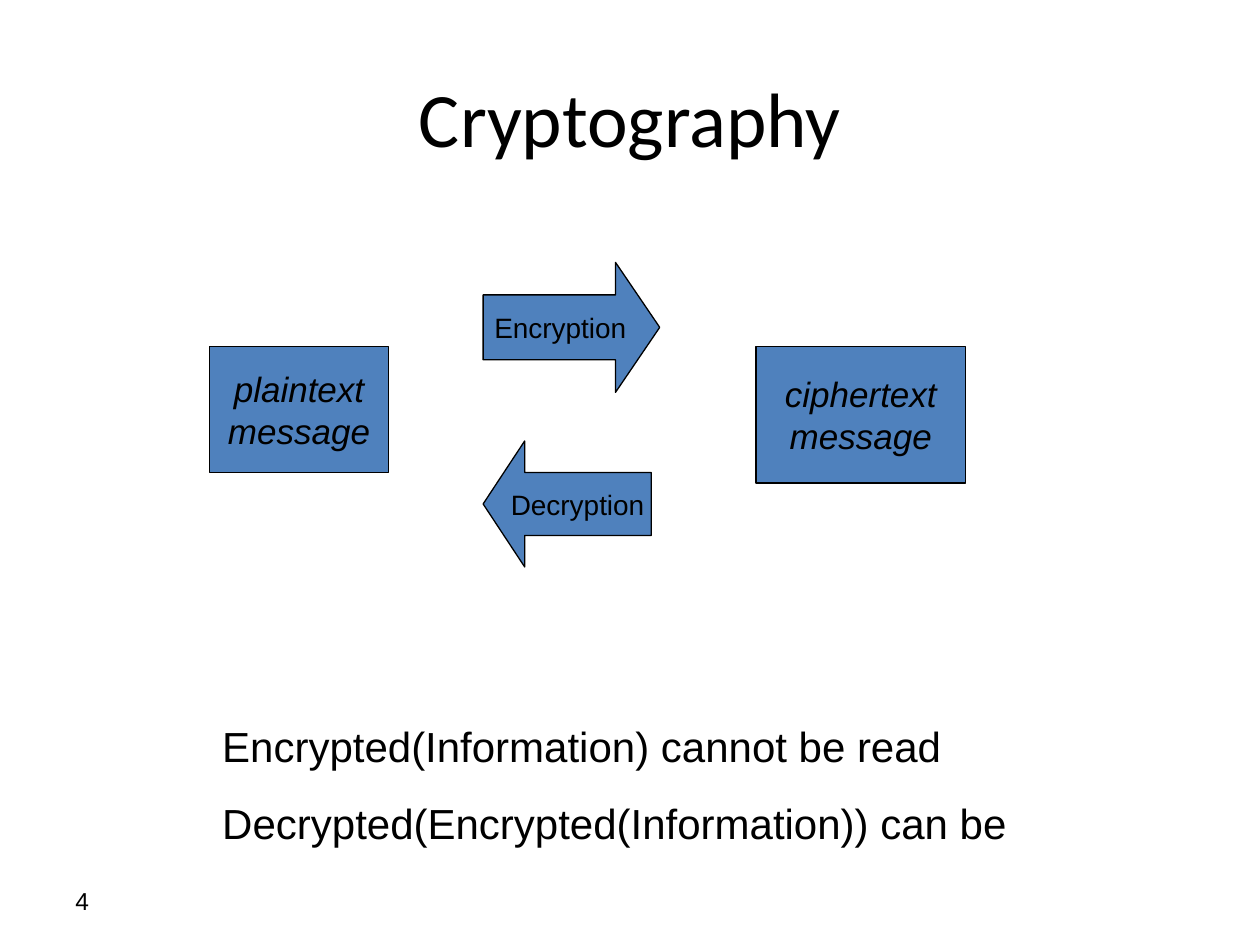
from pptx import Presentation
from pptx.dml.color import RGBColor
from pptx.enum.shapes import MSO_SHAPE as SHAPE
from pptx.enum.text import MSO_ANCHOR as ANCHOR, MSO_AUTO_SIZE as AUTO_SIZE, PP_ALIGN as ALIGN
from pptx.util import Cm, Pt

BLACK = "000000"
BLUE = "4F81BD"


def rgb(value):
    return RGBColor.from_string(value)


def write(tf, lines, size, font="Arial", align=ALIGN.LEFT, italic=False, gap=0):
    """Fill a text frame with one paragraph per line, gap points apart."""
    for i, line in enumerate(lines):
        p = tf.paragraphs[0] if i == 0 else tf.add_paragraph()
        p.alignment = align
        p.space_before = Pt(gap if i else 0)
        r = p.add_run()
        r.text = line
        r.font.name = font
        r.font.size = Pt(size)
        r.font.italic = italic
        r.font.color.rgb = rgb(BLACK)


def set_title(slide, text):
    title = slide.shapes.title
    title.left, title.top, title.width, title.height = Cm(1.27), Cm(0.76), Cm(22.86), Cm(3.18)
    title.text_frame.vertical_anchor = ANCHOR.MIDDLE
    write(title.text_frame, [text], 44, "Calibri", ALIGN.CENTER)


def add_block(slide, kind, left, top, width, height, lines, size, italic=False, head=None):
    """Add a blue labelled shape; head is an arrowhead's length ratio."""
    sp = slide.shapes.add_shape(kind, Cm(left), Cm(top), Cm(width), Cm(height))
    sp.shadow.inherit = False
    sp.fill.solid()
    sp.fill.fore_color.rgb = rgb(BLUE)
    sp.line.color.rgb = rgb(BLACK)
    sp.line.width = Pt(0.75)
    if head:
        sp.adjustments[1] = head
    tf = sp.text_frame
    tf.word_wrap = False
    tf.vertical_anchor = ANCHOR.MIDDLE
    write(tf, lines, size, align=ALIGN.CENTER, italic=italic)


def add_text(slide, left, top, width, height, lines, size, anchor=ANCHOR.TOP, gap=0):
    box = slide.shapes.add_textbox(Cm(left), Cm(top), Cm(width), Cm(height))
    tf = box.text_frame
    tf.word_wrap = True
    tf.auto_size = AUTO_SIZE.NONE
    tf.vertical_anchor = anchor
    write(tf, lines, size, gap=gap)


def main():
    prs = Presentation()
    prs.slide_width, prs.slide_height = Cm(25.4), Cm(19.05)
    s = prs.slides.add_slide(prs.slide_layouts[5])

    set_title(s, "Cryptography")
    add_block(s, SHAPE.RECTANGLE, 4.23, 6.99, 3.6, 2.54, ["plaintext", "message"], 20, italic=True)
    add_block(s, SHAPE.RECTANGLE, 15.24, 6.99, 4.23, 2.75, ["ciphertext", "message"], 20, italic=True)
    add_block(s, SHAPE.RIGHT_ARROW, 9.74, 5.29, 3.56, 2.62, ["Encryption"], 16, head=0.34)
    add_block(s, SHAPE.LEFT_ARROW, 9.74, 8.89, 3.39, 2.54, ["Decryption"], 16, head=0.33)
    add_text(s, 4.23, 14.4, 17.99, 2.82,
             ["Encrypted(Information) cannot be read",
              "Decrypted(Encrypted(Information)) can be"], 24, gap=15)
    add_text(s, 1.27, 17.66, 5.93, 1.01, ["4"], 14, ANCHOR.MIDDLE)

    prs.save("out.pptx")


if __name__ == "__main__":
    main()
